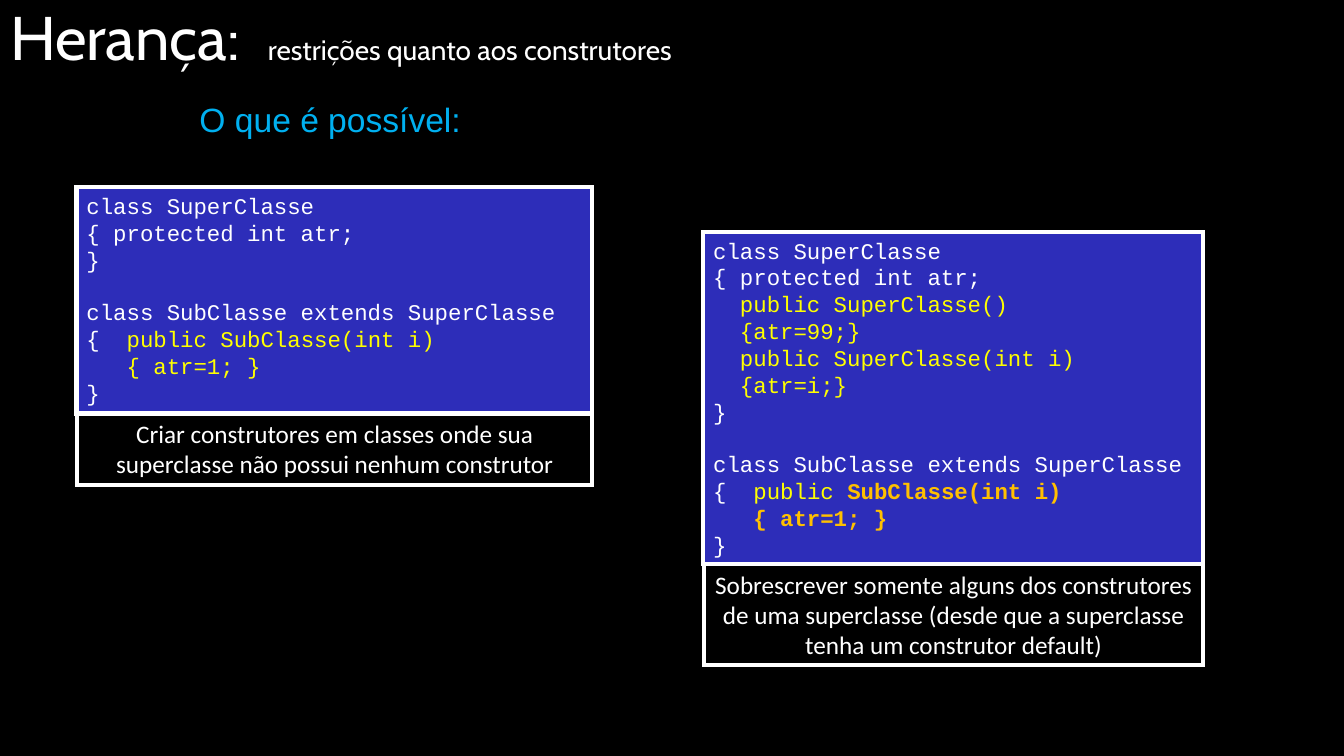
from dataclasses import dataclass

from lxml import etree
from pptx import Presentation
from pptx.dml.color import RGBColor as Rgb
from pptx.enum import shapes, text
from pptx.oxml.ns import qn
from pptx.util import Cm, Pt


@dataclass(frozen=True)
class Theme:
    black: Rgb = Rgb(0, 0, 0)
    white: Rgb = Rgb(255, 255, 255)
    blue: Rgb = Rgb(0x2D, 0x2D, 0xB9)
    cyan: Rgb = Rgb(0, 0xB0, 0xF0)
    yellow: Rgb = Rgb(255, 255, 0)
    amber: Rgb = Rgb(255, 0xC0, 0)
    head: Pt = Pt(44)
    sub: Pt = Pt(20)
    lead: Pt = Pt(24)
    code: Pt = Pt(16)
    note: Pt = Pt(18)
    gap: Pt = Pt(18.1)  # one line of code
    line: Pt = Pt(3)


T = Theme()
W, Y, A = T.white, T.yellow, T.amber

# Each code block is a list of classes, each class a list of lines of (text, colour) runs.
SUPER = [[("class SuperClasse", W)], [("{ protected int atr;", W)]]
SUB = [("class SubClasse extends SuperClasse", W)]
END = [("}", W)]
PLAIN = [
    SUPER + [END],
    [SUB, [("{  ", W), ("public SubClasse(int i)", Y)], [("   { atr=1; }", Y)], END],
]
BUILT = [
    SUPER + [
        [("  public SuperClasse()", Y)],
        [("  {atr=99;}", Y)],
        [("  public SuperClasse(int i)", Y)],
        [("  {atr=i;}", Y)],
        END,
    ],
    [SUB, [("{  ", W), ("public ", Y), ("SubClasse(int i)", A)], [("   { atr=1; }", A)], END],
]


def style(font, name, size, color=None):
    font.name, font.size = name, size
    if color is not None:
        font.color.rgb = color


def add_run(para, words, color):
    run = para.add_run()
    run.text = words
    run.font.color.rgb = color
    return run


def add_title(slide, x, y, w, h):
    title = slide.shapes.title
    title.left, title.top, title.width, title.height = x, y, w, h
    frame = title.text_frame
    frame.auto_size = text.MSO_AUTO_SIZE.NONE
    frame.vertical_anchor = text.MSO_ANCHOR.MIDDLE
    para = frame.paragraphs[0]
    para.alignment = text.PP_ALIGN.LEFT
    tabs = etree.SubElement(para._p.get_or_add_pPr(), qn("a:tabLst"))
    etree.SubElement(tabs, qn("a:tab"), pos=str(Cm(6.5)), algn="l")
    style(para.font, "Cabin", T.head, W)
    add_run(para, "Herança:\t", W)
    add_run(para, "restrições quanto aos construtores", W).font.size = T.sub


def add_lead(slide, x, y, w, h):
    frame = slide.shapes.add_textbox(x, y, w, h).text_frame
    frame.word_wrap = False
    para = frame.paragraphs[0]
    para.text = "O que é possível:"
    style(para.font, "Arial", T.lead, T.cyan)


def add_box(slide, x, y, w, h, fill):
    """Add a white-edged box and return its text frame."""
    box = slide.shapes.add_shape(shapes.MSO_SHAPE.RECTANGLE, x, y, w, h)
    box.shadow.inherit = False
    box.fill.solid()
    box.fill.fore_color.rgb = fill
    box.line.color.rgb = W
    box.line.width = T.line
    etree.SubElement(box._element.spPr.find(qn("a:ln")), qn("a:miter"), lim="800000")
    frame = box.text_frame
    frame.word_wrap = True
    frame.vertical_anchor = text.MSO_ANCHOR.TOP
    return frame


def add_code(frame, block):
    first = True
    for group in block:
        for row, line in enumerate(group):
            para = frame.paragraphs[0] if first else frame.add_paragraph()
            para.alignment = text.PP_ALIGN.LEFT
            if row == 0 and not first:
                para.space_before = T.gap
            style(para.font, "Courier New", T.code)
            for words, color in line:
                add_run(para, words, color).font.bold = color == A
            first = False


def add_panel(slide, x, y, w, h, foot, block, note):
    """Place a code box of height h with a caption of height foot below."""
    add_code(add_box(slide, x, y, w, h, T.blue), block)
    para = add_box(slide, x + Cm(0.02), y + h, w - Cm(0.02), foot, T.black).paragraphs[0]
    para.text = note
    para.alignment = text.PP_ALIGN.CENTER
    style(para.font, "Calibri", T.note, W)


def main():
    deck = Presentation()
    deck.slide_width, deck.slide_height = Cm(33.88), Cm(19.05)
    slide = deck.slides.add_slide(deck.slide_layouts[5])
    slide.background.fill.solid()
    slide.background.fill.fore_color.rgb = T.black
    add_title(slide, Cm(0), Cm(-0.05), Cm(23.93), Cm(1.9))
    add_lead(slide, Cm(4.78), Cm(2.36), Cm(7.09), Cm(1.27))
    add_panel(slide, Cm(1.93), Cm(4.72), Cm(13), Cm(5.7), Cm(1.8), PLAIN,
              "Criar construtores em classes onde sua superclasse não possui nenhum construtor")
    add_panel(slide, Cm(17.73), Cm(5.84), Cm(12.6), Cm(8.38), Cm(2.54), BUILT,
              "Sobrescrever somente alguns dos construtores de uma superclasse "
              "(desde que a superclasse tenha um construtor default)")
    deck.save("out.pptx")


if __name__ == "__main__":
    main()
